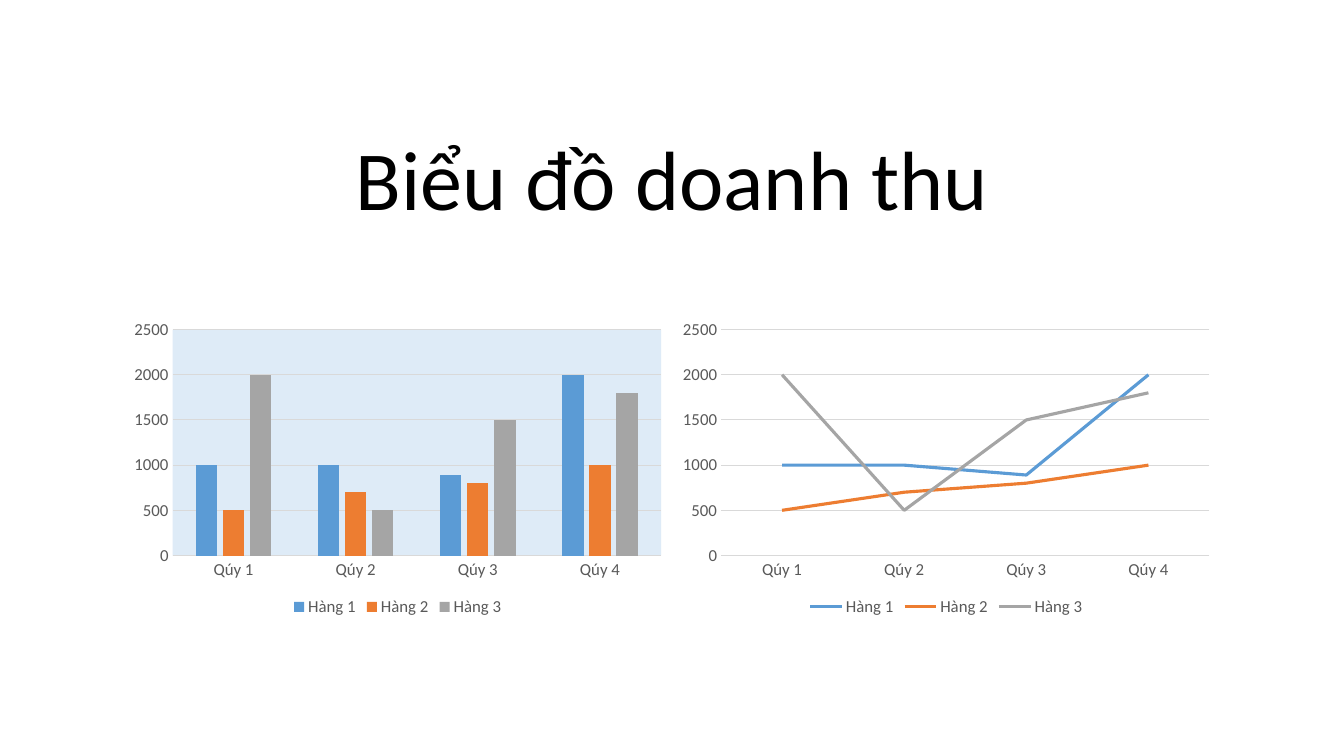
"""Build the revenue slide: a title above a column chart and a line chart."""
from dataclasses import dataclass

from lxml import etree
from pptx import Presentation
from pptx import util as u
from pptx.chart.data import CategoryChartData
from pptx.dml.color import RGBColor
from pptx.enum import chart as ch, text
from pptx.oxml import ns

TITLE = "Biểu đồ doanh thu"
QUARTERS = ["Qúy 1", "Qúy 2", "Qúy 3", "Qúy 4"]
REVENUE = {
    "Hàng 1": [1000, 1000, 890, 2000],
    "Hàng 2": [500, 700, 800, 1000],
    "Hàng 3": [2000, 500, 1500, 1800],
}
CHART_TYPES = [ch.XL_CHART_TYPE.COLUMN_CLUSTERED, ch.XL_CHART_TYPE.LINE]

SLIDE_W, SLIDE_H = 13.33, 7.5
TITLE_W, TITLE_TOP, TITLE_H = 10, 1.23, 1.09
CHART_W, CHART_TOP, CHART_H = 5.44, 3.11, 3.05
AXIS_MAX, AXIS_STEP = 2500, 500


@dataclass(frozen=True)
class Theme:
    font: str = "Calibri"
    title_size: float = 60
    label_size: float = 12
    grid_width: float = 0.75
    series_width: float = 2.25
    title: str = "000000"
    label: str = "595959"
    grid: str = "D9D9D9"
    plot: str = "DEEBF7"
    series: tuple = ("5B9BD5", "ED7D31", "A5A5A5")


THEME = Theme()


def style_font(font, size, color):
    font.name = THEME.font
    font.size = u.Pt(size)
    font.color.rgb = RGBColor.from_string(color)


def style_line(line, color, width):
    line.color.rgb = RGBColor.from_string(color)
    line.width = u.Pt(width)


def add_title(slide):
    left = (SLIDE_W - TITLE_W) / 2
    box = slide.shapes.add_textbox(*map(u.Inches, (left, TITLE_TOP, TITLE_W, TITLE_H)))
    tf = box.text_frame
    tf.word_wrap = True
    tf.vertical_anchor = text.MSO_ANCHOR.BOTTOM
    tf.text = TITLE
    p = tf.paragraphs[0]
    p.alignment = text.PP_ALIGN.CENTER
    p.line_spacing = 0.9
    style_font(p.runs[0].font, THEME.title_size, THEME.title)


def fill_plot_area(chart):
    plot_area = chart.element.find(".//" + ns.qn("c:plotArea"))
    sp_pr = etree.SubElement(plot_area, ns.qn("c:spPr"))
    fill = etree.SubElement(sp_pr, ns.qn("a:solidFill"))
    etree.SubElement(fill, ns.qn("a:srgbClr"), val=THEME.plot)


def style_axes(chart):
    category, value = chart.category_axis, chart.value_axis
    for axis in (category, value):
        axis.major_tick_mark = axis.minor_tick_mark = ch.XL_TICK_MARK.NONE
        style_font(axis.tick_labels.font, THEME.label_size, THEME.label)
    style_line(category.format.line, THEME.grid, THEME.grid_width)
    value.format.line.fill.background()
    value.minimum_scale, value.maximum_scale = 0, AXIS_MAX
    value.major_unit = AXIS_STEP
    style_line(value.major_gridlines.format.line, THEME.grid, THEME.grid_width)


def add_revenue_chart(slide, kind, left):
    data = CategoryChartData()
    data.categories = QUARTERS
    for name, values in REVENUE.items():
        data.add_series(name, values)
    frame = [u.Inches(n) for n in (left, CHART_TOP, CHART_W, CHART_H)]
    chart = slide.shapes.add_chart(kind, *frame, data).chart
    chart.has_title = False
    style_font(chart.font, THEME.label_size, THEME.label)
    chart.has_legend = True
    chart.legend.position = ch.XL_LEGEND_POSITION.BOTTOM
    chart.legend.include_in_layout = False
    style_font(chart.legend.font, THEME.label_size, THEME.label)
    style_axes(chart)

    plot = chart.plots[0]
    plot.vary_by_categories = False
    is_line = kind == ch.XL_CHART_TYPE.LINE
    for series, color in zip(plot.series, THEME.series):
        if is_line:
            series.smooth = False
            series.marker.style = ch.XL_MARKER_STYLE.NONE
            style_line(series.format.line, color, THEME.series_width)
        else:
            series.format.fill.solid()
            series.format.fill.fore_color.rgb = RGBColor.from_string(color)
    if not is_line:
        plot.gap_width, plot.overlap = 219, -27
        fill_plot_area(chart)


def main():
    prs = Presentation()
    prs.slide_width, prs.slide_height = u.Inches(SLIDE_W), u.Inches(SLIDE_H)
    slide = prs.slides.add_slide(prs.slide_layouts[6])
    add_title(slide)
    first_left = SLIDE_W / 2 - CHART_W
    for i, kind in enumerate(CHART_TYPES):
        add_revenue_chart(slide, kind, first_left + i * CHART_W)
    prs.save("out.pptx")


if __name__ == "__main__":
    main()
